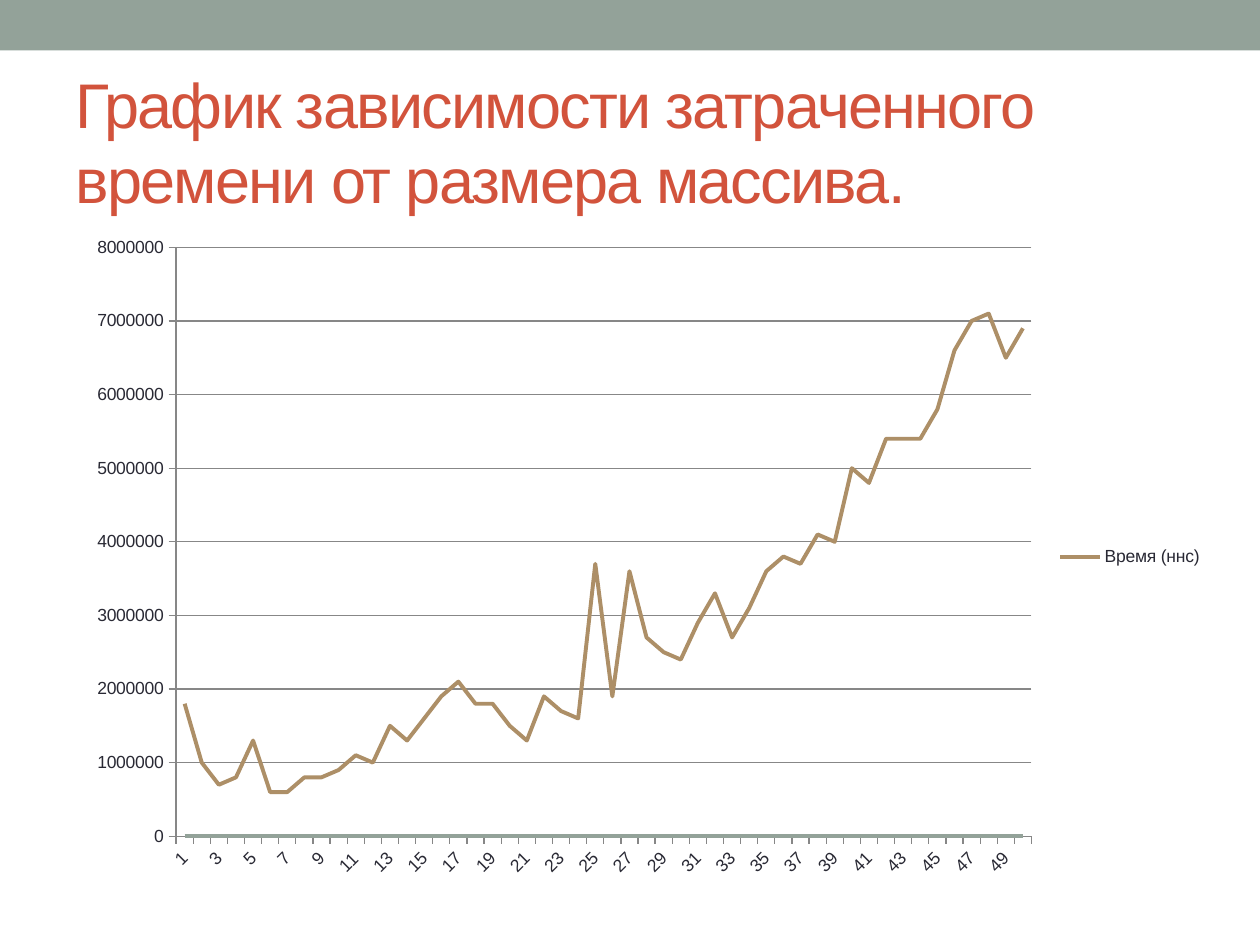
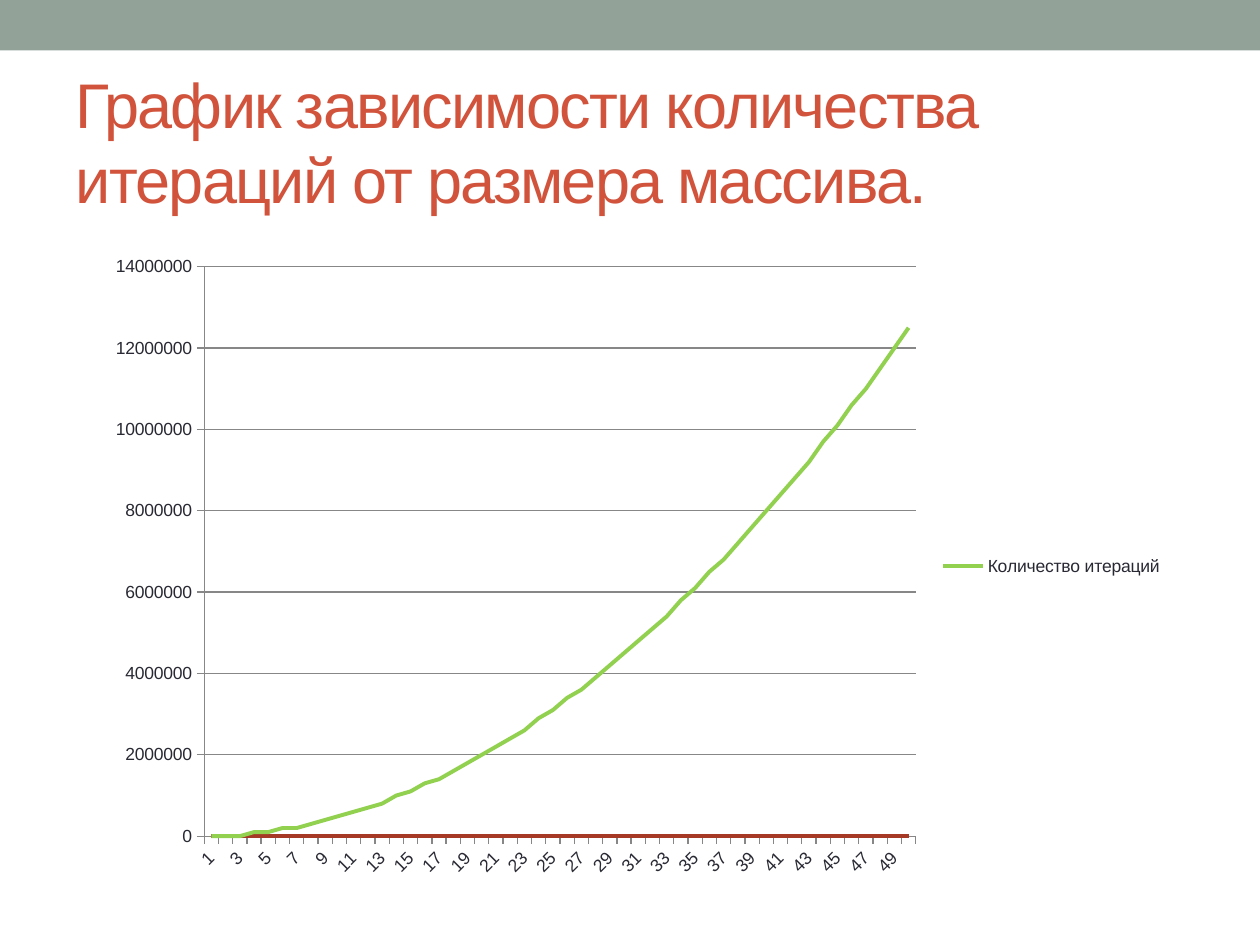
import pptx
import pptx.chart.data
import pptx.dml.color
import pptx.enum.chart
import pptx.enum.shapes
import pptx.enum.text
import pptx.oxml
import pptx.oxml.ns
import pptx.util
from pptx.util import Cm

SAGE = pptx.dml.color.RGBColor(0x93, 0xA2, 0x99)
RUST = pptx.dml.color.RGBColor(0xD2, 0x53, 0x3C)
INK = pptx.dml.color.RGBColor(0x29, 0x29, 0x34)
TAN = pptx.dml.color.RGBColor(0xAD, 0x8F, 0x67)
DARK_RED = pptx.dml.color.RGBColor(0xA5, 0x39, 0x26)
GREEN = pptx.dml.color.RGBColor(0x92, 0xD0, 0x50)
AXIS_GREY = pptx.dml.color.RGBColor(0x87, 0x87, 0x87)
FONT = "Arial"

SIZES = range(1, 51)
UNIT = 100000  # both measured series are rounded to this step
TIMES = [
    18, 10, 7, 8, 13, 6, 6, 8, 8, 9,
    11, 10, 15, 13, 16, 19, 21, 18, 18, 15,
    13, 19, 17, 16, 37, 19, 36, 27, 25, 24,
    29, 33, 27, 31, 36, 38, 37, 41, 40, 50,
    48, 54, 54, 54, 58, 66, 70, 71, 65, 69,
]
ITERATIONS = [round(size * size / 20) for size in SIZES]

# title, series name, values in units, baseline colour, series colour, chart box
CHART_SLIDES = [
    ("График зависимости затраченного времени от размера массива.",
     "Время (ннс)", TIMES, SAGE, TAN,
     (Cm(1.5), Cm(4.52), Cm(23.01), Cm(13.41))),
    ("График зависимости количества итераций от размера массива.",
     "Количество итераций", ITERATIONS, DARK_RED, GREEN,
     (Cm(1.9), Cm(4.92), Cm(21.8), Cm(13))),
]


def style_font(font, size, color):
    font.name = FONT
    font.size = pptx.util.Pt(size)
    font.color.rgb = color


presentation = pptx.Presentation()
presentation.slide_width = Cm(25.4)
presentation.slide_height = Cm(19.05)
title_layout = presentation.slide_layouts.get_by_name("Title Only")

for title_text, series_name, values, base_color, series_color, box in CHART_SLIDES:
    slide = presentation.slides.add_slide(title_layout)

    band = slide.shapes.add_shape(
        pptx.enum.shapes.MSO_SHAPE.RECTANGLE, 0, 0, presentation.slide_width, Cm(1.02))
    band.shadow.inherit = False
    band.fill.solid()
    band.fill.fore_color.rgb = SAGE
    band.line.fill.background()

    title = slide.shapes.title
    title.left, title.top, title.width, title.height = Cm(1.27), Cm(1.47), Cm(22.86), Cm(2.74)
    title.text_frame.text = title_text
    title.text_frame.word_wrap = True
    title.text_frame.auto_size = pptx.enum.text.MSO_AUTO_SIZE.NONE
    title.text_frame.vertical_anchor = pptx.enum.text.MSO_ANCHOR.MIDDLE
    paragraph = title.text_frame.paragraphs[0]
    paragraph.alignment = pptx.enum.text.PP_ALIGN.LEFT
    style_font(paragraph.runs[0].font, 36, RUST)
    title.element.xpath(".//a:rPr")[0].set("spc", "-100")

    chart_data = pptx.chart.data.CategoryChartData()
    chart_data.categories = [str(size) for size in SIZES]
    chart_data.add_series("Series 1", [0] * len(SIZES))
    chart_data.add_series(series_name, [value * UNIT for value in values])
    chart = slide.shapes.add_chart(
        pptx.enum.chart.XL_CHART_TYPE.LINE, *box, chart_data).chart
    chart.has_title = False
    chart.plots[0].vary_by_categories = False
    style_font(chart.font, 10, INK)

    for series, color in zip(chart.plots[0].series, (base_color, series_color)):
        series.smooth = False
        series.format.line.color.rgb = color
        series.format.line.width = pptx.util.Pt(2.25)

    chart.value_axis.has_major_gridlines = True
    gridlines = chart.value_axis.major_gridlines
    for part in (chart.category_axis, chart.value_axis, gridlines):
        part.format.line.color.rgb = AXIS_GREY
        part.format.line.width = pptx.util.Pt(0.75)
    for axis in (chart.category_axis, chart.value_axis):
        axis.major_tick_mark = pptx.enum.chart.XL_TICK_MARK.OUTSIDE
    style_font(chart.category_axis.tick_labels.font, 10, INK)
    chart.element.xpath(".//c:catAx/c:txPr/a:bodyPr")[0].set("rot", "-2700000")

    # The legend names the measured series only, not the baseline.
    chart.has_legend = True
    chart.legend.position = pptx.enum.chart.XL_LEGEND_POSITION.RIGHT
    chart.legend.include_in_layout = False
    hidden_entry = pptx.oxml.parse_xml(
        f'<c:legendEntry {pptx.oxml.ns.nsdecls("c")}>'
        '<c:idx val="0"/><c:delete val="1"/></c:legendEntry>')
    chart.element.xpath(".//c:legend/c:legendPos")[0].addnext(hidden_entry)

presentation.save("out.pptx")
